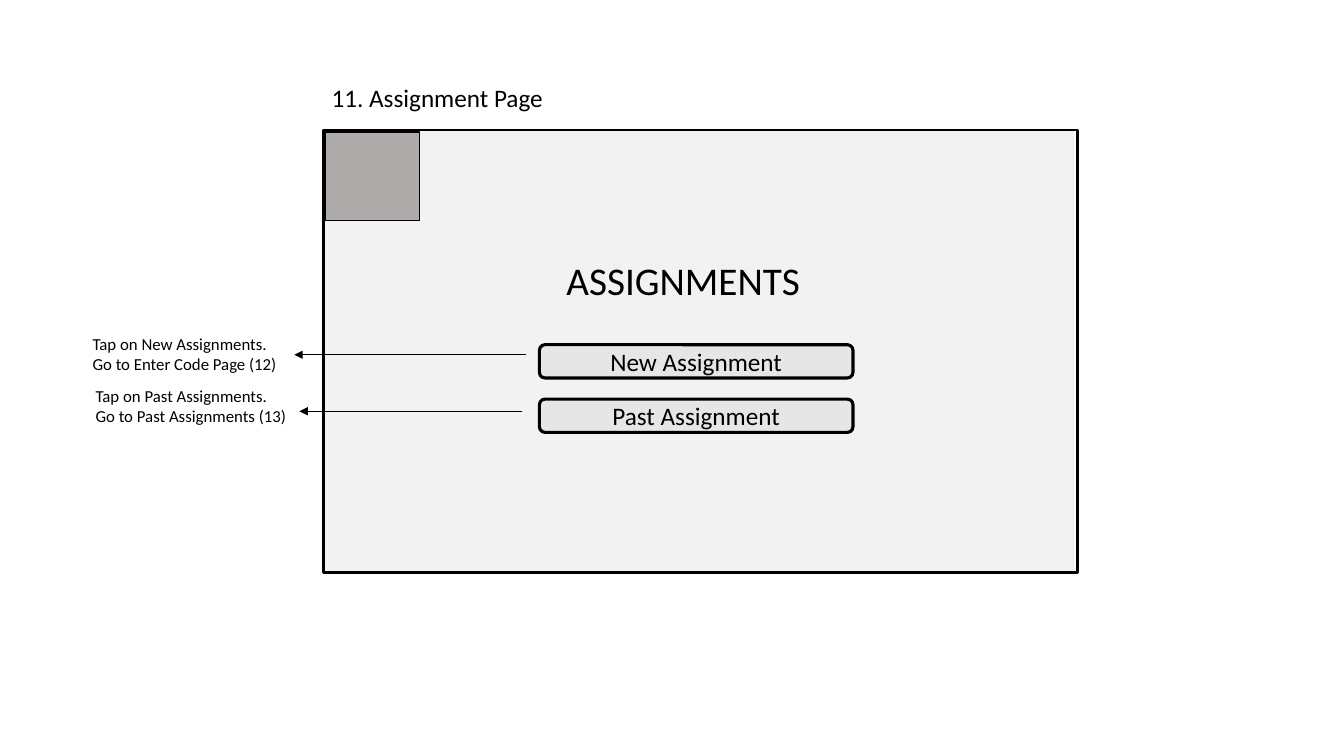
from dataclasses import dataclass

from lxml.etree import SubElement
from pptx import Presentation
from pptx.dml.color import RGBColor
from pptx.enum.shapes import MSO_CONNECTOR as Link, MSO_SHAPE as Form
from pptx.enum.text import MSO_ANCHOR as Anchor, MSO_AUTO_SIZE as Fit, PP_ALIGN as Align
from pptx.oxml.ns import qn
from pptx.util import Inches, Pt

INK = "000000"


@dataclass
class Box:
    left: float
    top: float
    width: float
    height: float
    fill: str = ""
    line: float = 0
    form: int = Form.RECTANGLE
    text: str = ""


@dataclass
class Label:
    left: float
    top: float
    width: float
    height: float
    text: str
    size: int
    align: int = Align.LEFT
    wrap: bool = True


@dataclass
class Arrow:
    start: float
    end: float
    top: float


def paint(target, color: str) -> None:
    target.solid()
    target.fore_color.rgb = RGBColor.from_string(color)


def place(item) -> list:
    return [Inches(n) for n in (item.left, item.top, item.width, item.height)]


def write(frame, text: str, size: int, align: int, **style) -> None:
    for name, value in style.items():
        setattr(frame, name, value)
    frame.text = text
    for para in frame.paragraphs:
        para.alignment = align
        for name, value in {"name": "Calibri", "size": Pt(size)}.items():
            setattr(para.font, name, value)
        paint(para.font.fill, INK)


def draw_box(slide, box: Box) -> None:
    shape = slide.shapes.add_shape(box.form, *place(box))
    shape.shadow.inherit = False
    if box.fill:
        paint(shape.fill, box.fill)
    else:
        shape.fill.background()
    if box.line:
        paint(shape.line.fill, INK)
        shape.line.width = Pt(box.line)
    else:
        shape.line.fill.background()
    if box.text:
        write(shape.text_frame, box.text, 18, Align.CENTER,
              vertical_anchor=Anchor.MIDDLE)


def draw_label(slide, label: Label) -> None:
    frame = slide.shapes.add_textbox(*place(label)).text_frame
    write(frame, label.text, label.size, label.align,
          word_wrap=label.wrap, auto_size=Fit.SHAPE_TO_FIT_TEXT)


def draw_arrow(slide, arrow: Arrow) -> None:
    ends = [Inches(n) for n in (arrow.start, arrow.top, arrow.end, arrow.top)]
    link = slide.shapes.add_connector(Link.STRAIGHT, *ends)
    paint(link.line.fill, INK)
    link.line.width = Pt(0.5)
    SubElement(link.line._get_or_add_ln(), qn("a:tailEnd"), type="triangle")
    SubElement(link._element.spPr, qn("a:effectLst"))


def button(top: float, text: str) -> Box:
    return Box(5.35, top, 3.11, 0.33, "E7E6E6", 2.25, Form.ROUNDED_RECTANGLE, text)


ITEMS = [
    Box(3.19, 1.3, 7.47, 4.37, "F2F2F2"),
    Label(5.22, 2.49, 3.11, 0.57, "ASSIGNMENTS", 28, Align.CENTER),
    button(3.96, "Past Assignment"),
    button(3.42, "New Assignment"),
    Box(3.23, 1.31, 0.93, 0.88, "AFABAB", 1),
    Box(3.21, 1.29, 7.48, 4.39, line=2),
    Label(3.19, 0.77, 2.32, 0.4, "11. Assignment Page", 18, wrap=False),
    Arrow(5.22, 2.92, 3.52),
    Label(0.82, 3.26, 2.4, 0.5,
          "Tap on New Assignments.\nGo to Enter Code Page (12)", 12),
    Arrow(5.18, 2.97, 4.08),
    Label(0.85, 3.78, 2.4, 0.71,
          "Tap on Past Assignments.\nGo to Past Assignments (13)", 12),
]
DRAW = {Box: draw_box, Label: draw_label, Arrow: draw_arrow}


def main() -> None:
    deck = Presentation()
    deck.slide_width, deck.slide_height = Inches(13.33), Inches(7.5)
    slide = deck.slides.add_slide(deck.slide_layouts[6])
    for item in ITEMS:
        DRAW[type(item)](slide, item)
    deck.save("out.pptx")


if __name__ == "__main__":
    main()
